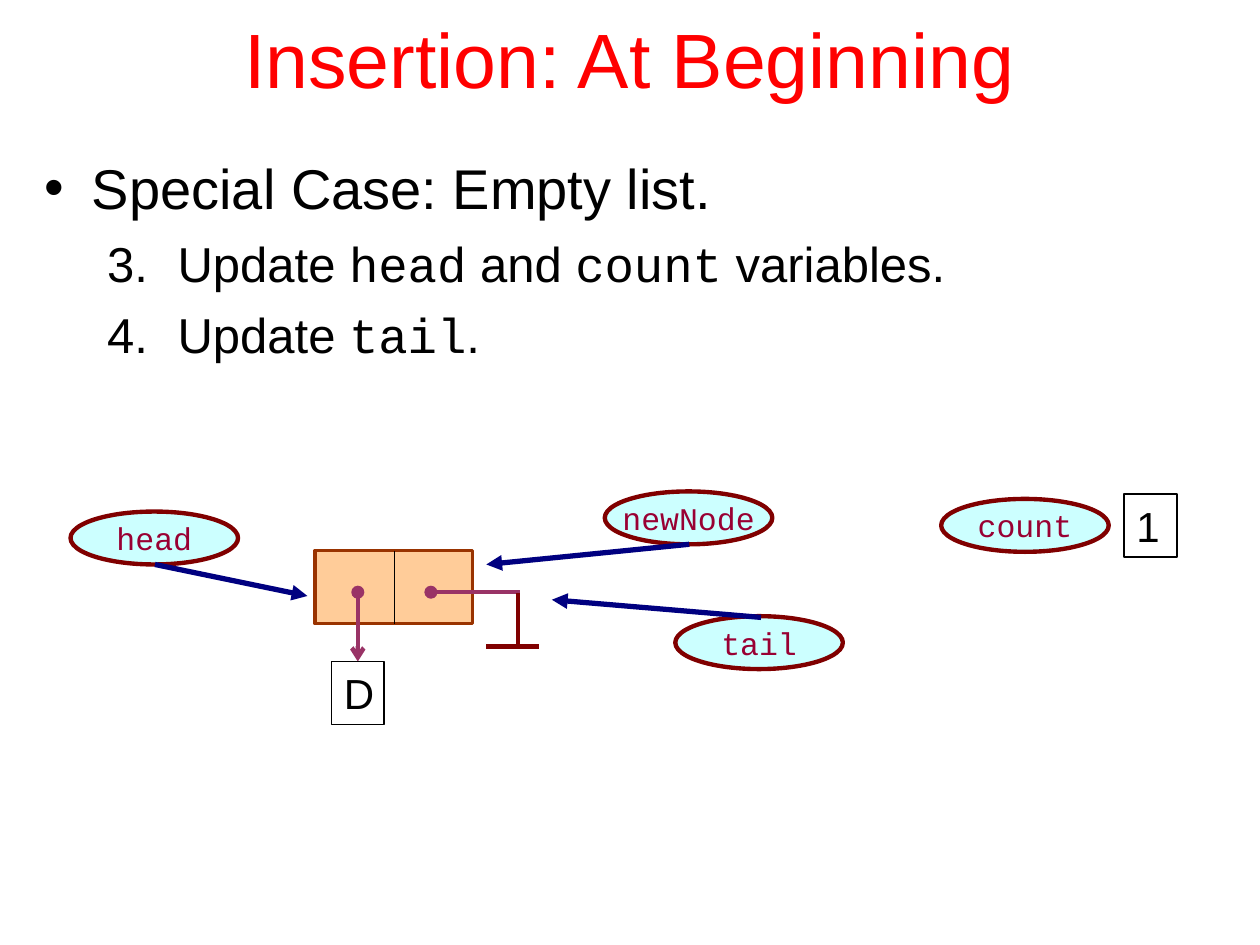
from lxml import etree
from pptx import Presentation, util as u
from pptx.dml.color import RGBColor
from pptx.enum import shapes, text
from pptx.oxml.ns import qn

COLORS = {"title": "FF0000", "ink": "000000", "label": "990033", "oval": "CCFFFF",
          "maroon": "800000", "navy": "000080", "node": "FFCC99",
          "node_edge": "993300", "link": "993366"}
SANS, MONO = "Arial", "Courier New"
COLUMNS, ROWS = 100, 75
OVAL_W, OVAL_H = 13.3, 4.2


def child(parent, tag, **attributes):
    return etree.SubElement(parent, qn(tag), attributes)


class SlideBuilder:
    """Places styled elements on a grid of COLUMNS by ROWS."""

    def __init__(self, deck):
        self.slide = deck.slides.add_slide(deck.slide_layouts[1])
        self.cell_w = deck.slide_width / COLUMNS
        self.cell_h = deck.slide_height / ROWS

    def grid(self, *lengths):
        """Turn alternating columns and rows into slide lengths."""
        cells = (self.cell_w, self.cell_h)
        return [round(n * cells[i % 2]) for i, n in enumerate(lengths)]

    def style(self, font, size, color, face=SANS):
        font.size, font.name = u.Pt(size), face
        font.color.rgb = RGBColor.from_string(COLORS[color])

    def place(self, holder, *box):
        holder.left, holder.top, holder.width, holder.height = self.grid(*box)
        holder.text_frame.auto_size = text.MSO_AUTO_SIZE.NONE
        return holder.text_frame

    def title(self, words, *box):
        frame = self.place(self.slide.shapes.title, *box)
        frame.text = words
        frame.vertical_anchor = text.MSO_ANCHOR.MIDDLE
        heading = frame.paragraphs[0]
        heading.alignment = text.PP_ALIGN.CENTER
        self.style(heading.runs[0].font, 44, "title")

    def bullets(self, items, *box):
        """Each item is a level and its pieces; every second piece is code."""
        frame = self.place(self.slide.placeholders[1], *box)
        for i, (level, pieces) in enumerate(items):
            item = frame.paragraphs[0] if i == 0 else frame.add_paragraph()
            item.level = level
            item.space_before = u.Pt(7 if i else 0)
            margin, hang, size = ((0.38, 0.38, 32), (1.06, 0.56, 28))[level]
            props = item._p.get_or_add_pPr()
            props.set("marL", str(u.Inches(margin)))
            props.set("indent", str(-u.Inches(hang)))
            child(props, "a:buFont", typeface=SANS)
            if level:
                child(props, "a:buAutoNum", type="arabicPeriod", startAt="3")
            else:
                child(props, "a:buChar", char="•")
            for k, piece in enumerate(pieces):
                run = item.add_run()
                run.text = piece
                self.style(run.font, size, "ink", MONO if k % 2 else SANS)

    def shape(self, kind, box, line, weight, fill=None, canvas=None):
        canvas = canvas or self.slide.shapes
        shape = canvas.add_shape(kind, *self.grid(*box))
        shape.shadow.inherit = False
        if fill:
            shape.fill.solid()
            shape.fill.fore_color.rgb = RGBColor.from_string(COLORS[fill])
        else:
            shape.fill.background()
        shape.line.color.rgb = RGBColor.from_string(COLORS[line])
        shape.line.width = u.Pt(weight)
        return shape

    def oval(self, name, left, top, canvas=None):
        variable = self.shape(shapes.MSO_SHAPE.OVAL, (left, top, OVAL_W, OVAL_H),
                              "maroon", 2.5, "oval", canvas)
        frame = variable.text_frame
        frame.text = name
        frame.word_wrap = False
        frame.vertical_anchor = text.MSO_ANCHOR.MIDDLE
        frame.paragraphs[0].alignment = text.PP_ALIGN.CENTER
        self.style(frame.paragraphs[0].runs[0].font, 18, "label", MONO)

    def value_box(self, value, left, top):
        box = self.shape(shapes.MSO_SHAPE.RECTANGLE, (left, top, 4.2, 5), "ink", 1)
        frame = box.text_frame
        frame.text = value
        frame.word_wrap = True
        frame.vertical_anchor = text.MSO_ANCHOR.TOP
        frame.paragraphs[0].alignment = text.PP_ALIGN.LEFT
        self.style(frame.paragraphs[0].runs[0].font, 24, "ink")

    def line(self, ends, color, weight, head=None, tail=None, canvas=None):
        canvas = canvas or self.slide.shapes
        line = canvas.add_connector(shapes.MSO_CONNECTOR.STRAIGHT, *self.grid(*ends))
        line.line.color.rgb = RGBColor.from_string(COLORS[color])
        line.line.width = u.Pt(weight)
        outline = line.line._get_or_add_ln()
        for tag, end in (("a:headEnd", head), ("a:tailEnd", tail)):
            if end:
                child(outline, tag, type=end)
        child(line._element.spPr, "a:effectLst")

    def pointer(self, name, oval_at, start, target):
        """A named oval grouped with the arrow to what it refers to."""
        group = self.slide.shapes.add_group_shape().shapes
        self.oval(name, *oval_at, canvas=group)
        self.line((*start, *target), "navy", 3, tail="triangle", canvas=group)


def main():
    deck = Presentation()
    deck.slide_width, deck.slide_height = u.Inches(10), u.Inches(7.5)
    page = SlideBuilder(deck)

    # Heading and steps
    page.title("Insertion: At Beginning", 7.5, -1.7, 85, 12.5)
    page.bullets([(0, ["Special Case: Empty list."]),
                  (1, ["Update ", "head", " and ", "count", " variables."]),
                  (1, ["Update ", "tail", "."])], 2.5, 11.7, 95, 17.5)

    # Pointers behind the node
    page.pointer("head", (5.6, 40.6), (12.3, 44.8), (24.4, 47.3))
    page.pointer("tail", (53.6, 48.9), (60.4, 49), (43.8, 47.6))

    # Node with its data and next fields
    page.shape(shapes.MSO_SHAPE.RECTANGLE, (25, 43.7, 12.5, 5.8), "node_edge", 2, "node")
    page.line((31.3, 43.7, 31.3, 49.5), "ink", 0.75)
    page.pointer("newNode", (48, 39), (54.7, 43.2), (38.6, 44.8))

    # Data link, then the null link and its ground mark
    page.line((28.4, 47, 28.4, 52.5), "link", 2.5, head="oval", tail="arrow")
    page.line((34.2, 47, 41.3, 47), "link", 2.5, head="oval")
    page.line((41.1, 47.1, 41.1, 51.3), "maroon", 2.5)
    page.line((38.6, 51.3, 42.8, 51.3), "maroon", 2.5)

    # Stored values
    page.value_box("D", 26.3, 52.5)
    page.value_box("1", 89.2, 39.2)
    page.oval("count", 74.7, 39.6)

    deck.save("out.pptx")


if __name__ == "__main__":
    main()
